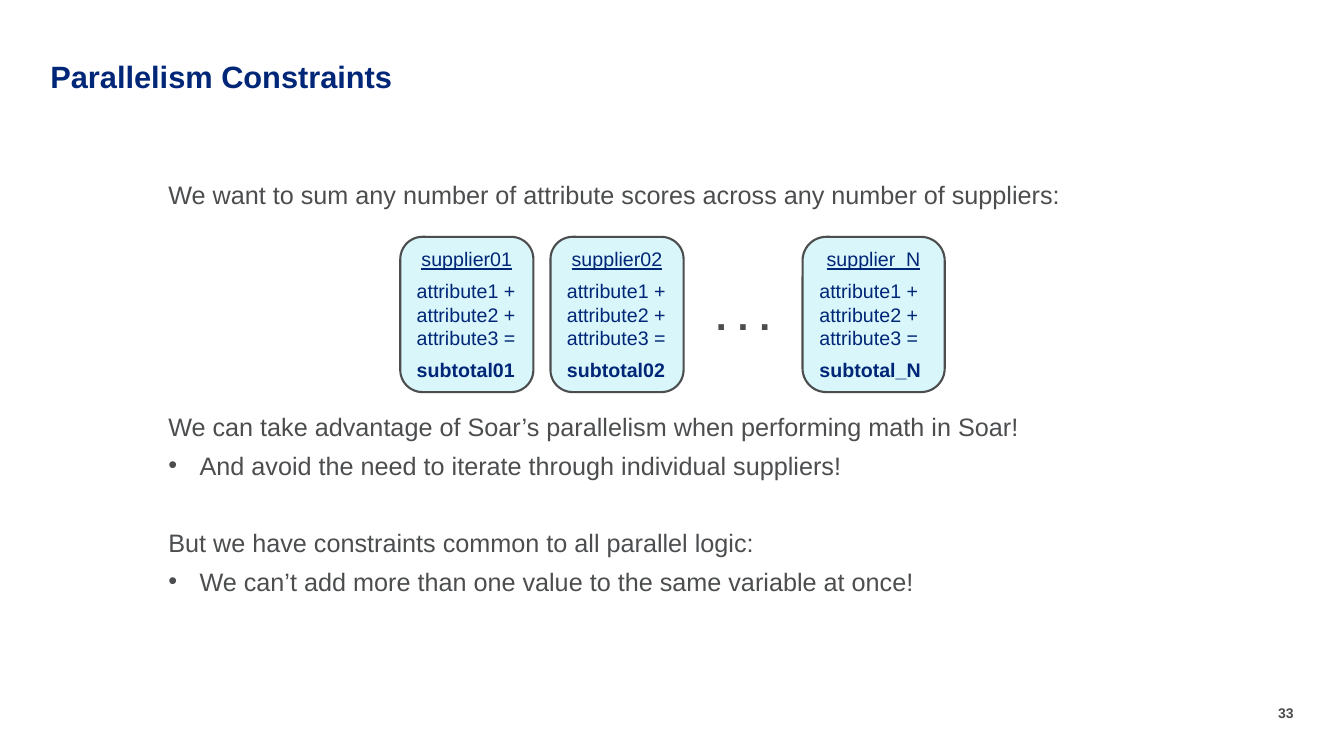
from lxml.etree import SubElement
from pptx import Presentation
from pptx.dml.color import RGBColor
from pptx.enum.shapes import MSO_SHAPE as Shape
from pptx.enum.text import MSO_ANCHOR as Anchor, PP_ALIGN as Align
from pptx.oxml.ns import qn
from pptx.util import Inches, Pt

NAVY = RGBColor(0x00, 0x26, 0x77)
GRAY = RGBColor(0x4B, 0x4D, 0x4F)
PALE_CYAN = RGBColor(0xD9, 0xF6, 0xFA)
FONT = "Arial"
GAP = 6
BODY_SIZE = 18
BODY_PITCH = BODY_SIZE * 1.2 + GAP
CARD_TOP, CARD_HEIGHT = 2.35, 1.54
ATTRIBUTES = ("attribute1 +", "attribute2 +", "attribute3 =")
SUPPLIERS = (
    ("01", "supplier01", 3.97, 1.32),
    ("02", "supplier02", 5.46, 1.32),
    ("_N", "supplier_N", 7.96, 1.41),
)
STATEMENTS = (
    ("We want to sum any number of attribute scores across any number of suppliers:", False, 0),
    ("We can take advantage of Soar’s parallelism when performing math in Soar!", False, 5),
    ("And avoid the need to iterate through individual suppliers!", True, 0),
    ("But we have constraints common to all parallel logic:", False, 1),
    ("We can’t add more than one value to the same variable at once!", True, 0),
)


def add_run(paragraph, text, size, color, bold=False, underline=False):
    """Append one formatted run to a paragraph."""
    run = paragraph.add_run()
    run.text = text
    font = run.font
    font.name, font.size, font.bold, font.underline = FONT, Pt(size), bold, underline
    font.color.rgb = color


def clear_margins(frame):
    """Remove the inner margins of a text frame."""
    frame.margin_left = frame.margin_right = frame.margin_top = frame.margin_bottom = 0


def add_label(slide, text, box, size, align=Align.LEFT):
    """Add a one-line bold gray label."""
    frame = slide.shapes.add_textbox(*map(Inches, box)).text_frame
    clear_margins(frame)
    frame.word_wrap = False
    line = frame.paragraphs[0]
    line.alignment = align
    add_run(line, text, size, GRAY, bold=True)


def set_title(slide, text):
    """Place and fill the title placeholder."""
    title = slide.shapes.title
    title.left, title.top, title.width, title.height = map(Inches, (0.5, 0.61, 10.5, 0.33))
    frame = title.text_frame
    clear_margins(frame)
    frame.vertical_anchor = Anchor.TOP
    heading = frame.paragraphs[0]
    heading.alignment = Align.LEFT
    heading.line_spacing = 0.9
    add_run(heading, text, 22, NAVY, bold=True)


def add_bullet(paragraph):
    """Give a paragraph a hanging round bullet."""
    properties = paragraph._p.get_or_add_pPr()
    indent = Inches(0.31)
    properties.set("marL", str(indent))
    properties.set("indent", str(-indent))
    SubElement(properties, qn("a:buFont"), typeface=FONT)
    SubElement(properties, qn("a:buChar"), char="•")


def add_statements(slide):
    """Add the body text, leaving room for skipped lines."""
    frame = slide.shapes.add_textbox(*map(Inches, (1.67, 1.78, 10, 4.22))).text_frame
    clear_margins(frame)
    frame.word_wrap = True
    for index, (text, bulleted, skipped) in enumerate(STATEMENTS):
        statement = frame.add_paragraph() if index else frame.paragraphs[0]
        if bulleted:
            add_bullet(statement)
        if index:
            statement.space_before = Pt(GAP + skipped * BODY_PITCH)
        add_run(statement, text, BODY_SIZE, GRAY)


def add_supplier(slide, suffix, name, left, width):
    """Add a rounded card that sums one supplier's attributes."""
    card = slide.shapes.add_shape(
        Shape.ROUNDED_RECTANGLE, *map(Inches, (left, CARD_TOP, width, CARD_HEIGHT)))
    card.shadow.inherit = False
    card.fill.solid()
    card.fill.fore_color.rgb = PALE_CYAN
    card.line.color.rgb = GRAY
    card.line.width = Pt(1.5)
    frame = card.text_frame
    frame.vertical_anchor = Anchor.MIDDLE
    heading = frame.paragraphs[0]
    heading.alignment = Align.CENTER
    add_run(heading, name, 14, NAVY, underline=True)
    terms, subtotal = frame.add_paragraph(), frame.add_paragraph()
    for paragraph in (terms, subtotal):
        paragraph.alignment = Align.LEFT
        paragraph.space_before = Pt(GAP)
    for index, attribute in enumerate(ATTRIBUTES):
        if index:
            terms.add_line_break()
        add_run(terms, attribute, 14, NAVY)
    add_run(subtotal, f"subtotal{suffix}", 14, NAVY, bold=True)


def main():
    """Build and save the slide."""
    deck = Presentation()
    deck.slide_width, deck.slide_height = Inches(13.33), Inches(7.5)
    slide = deck.slides.add_slide(deck.slide_layouts[5])
    set_title(slide, "Parallelism Constraints")
    add_statements(slide)
    for supplier in SUPPLIERS:
        add_supplier(slide, *supplier)
    add_label(slide, ". . .", (7.1, 2.89, 0.54, 0.47), 28)
    add_label(slide, "33", (12.66, 6.99, 0.17, 0.17), 10, Align.RIGHT)
    deck.save("out.pptx")


if __name__ == "__main__":
    main()
